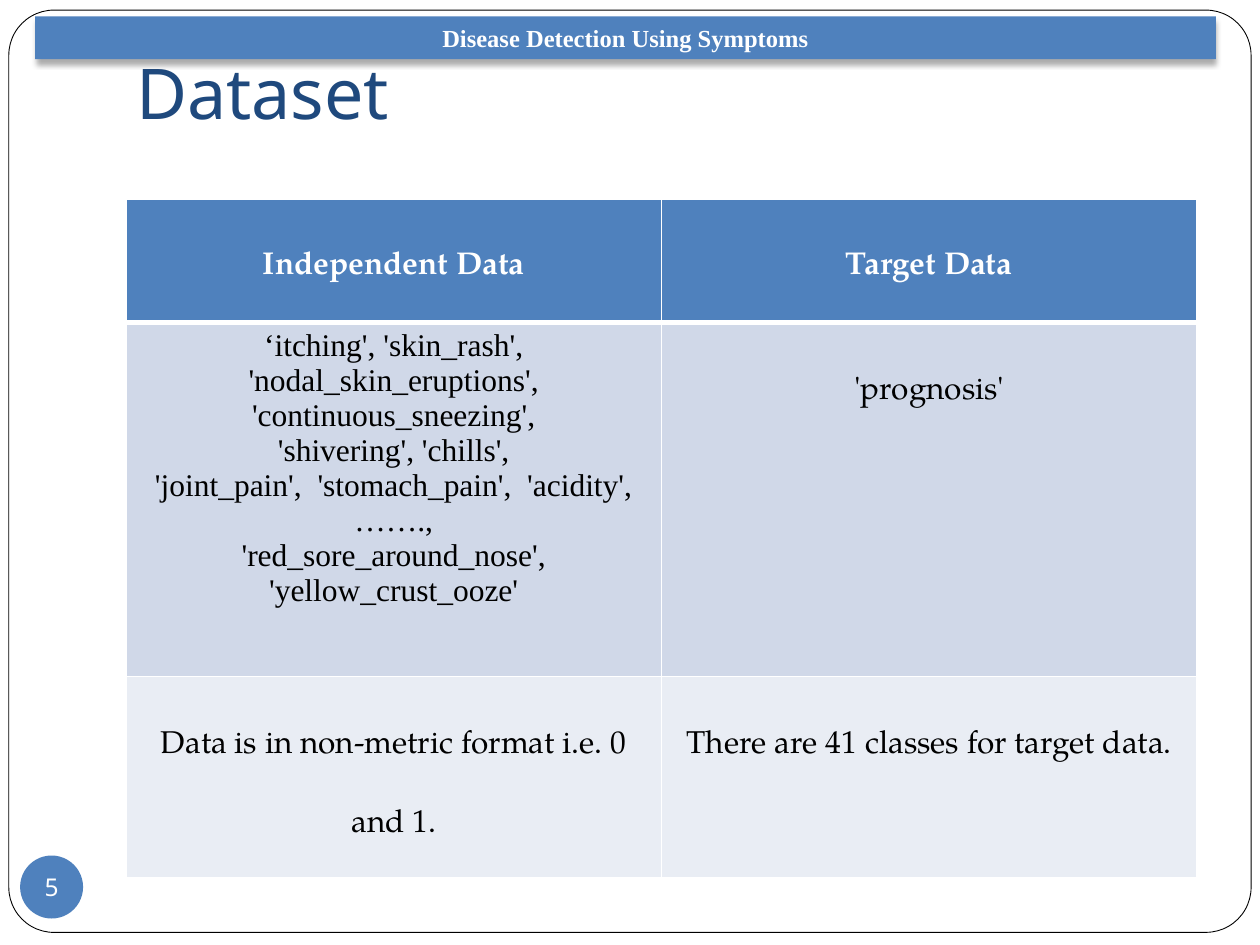
from lxml import etree
from pptx import Presentation
from pptx.dml.color import RGBColor
from pptx.enum.shapes import MSO_SHAPE as SHAPE
from pptx.enum.text import MSO_ANCHOR as ANCHOR, PP_ALIGN as ALIGN
from pptx.oxml import parse_xml
from pptx.oxml.ns import nsdecls, qn
from pptx.util import Inches, Pt

SANS, SERIF, BOOK = "Noto Sans", "Times New Roman", "TeX Gyre Pagella"
BLUE, NAVY, WHITE, BLACK = "4F81BD", "1F497D", "FFFFFF", "000000"
ROW_FILLS = [BLUE, "D0D8E8", "E9EDF4"]
ROW_HEIGHTS = [0.98, 2.81, 1.6]
SYMPTOMS = [
    "‘itching',\u00a0'skin_rash', 'nodal_skin_eruptions',",
    "'continuous_sneezing', 'shivering',\u00a0'chills',",
    "'joint_pain',\u00a0 'stomach_pain', \u00a0'acidity', …….,",
    "'red_sore_around_nose', 'yellow_crust_ooze'",
]
ROWS = [
    [["Independent Data"], ["Target Data"]],
    [SYMPTOMS, ["'prognosis'"]],
    [["Data is in non-metric format i.e. 0 and 1."],
     ["There are 41 classes for target data."]],
]


def rgb(value):
    """Turn a hex string into a colour."""
    return RGBColor.from_string(value)


def write(tf, lines, size, font, color, bold=False, align=ALIGN.CENTER, spacing=None):
    """Fill a text frame with equally formatted paragraphs."""
    tf.text = "\n".join(lines)
    for p in tf.paragraphs:
        p.alignment = align
        if spacing:
            p.line_spacing = spacing
        for r in p.runs:
            r.font.size, r.font.name, r.font.bold = Pt(size), font, bold
            r.font.color.rgb = rgb(color)


def set_margins(tf, left, top, right, bottom):
    """Set the four insets of a text frame in inches."""
    tf.margin_left, tf.margin_top = Inches(left), Inches(top)
    tf.margin_right, tf.margin_bottom = Inches(right), Inches(bottom)


def add_box(s, kind, left, top, width, height, fill):
    """Add a filled shape without outline or shadow."""
    sp = s.shapes.add_shape(kind, Inches(left), Inches(top), Inches(width), Inches(height))
    sp.shadow.inherit = False
    sp.fill.solid()
    sp.fill.fore_color.rgb = rgb(fill)
    sp.line.fill.background()
    return sp


def add_frame(s):
    """Add the rounded page frame behind everything else."""
    sp = add_box(s, SHAPE.ROUNDED_RECTANGLE, 0.07, 0.08, 9.86, 7.32, WHITE)
    sp.adjustments[0] = 0.049
    sp.line.color.rgb = rgb(BLACK)
    sp.line.width = Pt(0.5)
    s.shapes._spTree.insert(2, sp._element)


def set_title(s, text):
    """Place and format the title placeholder."""
    sp = s.shapes.title
    sp.left, sp.top, sp.width, sp.height = map(Inches, (0.98, 0.29, 8.5, 0.87))
    tf = sp.text_frame
    tf.vertical_anchor = ANCHOR.BOTTOM
    set_margins(tf, 0.1, 0.05, 0.1, 0.1)
    write(tf, [text], 40, SANS, NAVY, align=ALIGN.LEFT)


def add_page_number(s, number):
    """Add the round page number badge."""
    tf = add_box(s, SHAPE.OVAL, 0.16, 6.79, 0.5, 0.5, BLUE).text_frame
    tf.word_wrap = False
    tf.vertical_anchor = ANCHOR.MIDDLE
    set_margins(tf, 0, 0, 0, 0)
    write(tf, [number], 14, SANS, WHITE)


def add_banner(s, text):
    """Add the banner with its soft drop shadow."""
    sp = add_box(s, SHAPE.RECTANGLE, 0.28, 0.13, 9.37, 0.34, BLUE)
    write(sp.text_frame, [text], 14, SERIF, WHITE, bold=True)
    effects = sp._element.spPr.find(qn("a:effectLst"))
    effects.append(parse_xml(
        f'<a:outerShdw {nsdecls("a")} blurRad="{Pt(3.5)}" dist="{Pt(2.2)}" dir="5400000" '
        f'rotWithShape="0"><a:srgbClr val="{BLACK}"><a:alpha val="32000"/></a:srgbClr>'
        '</a:outerShdw>'))


def set_borders(cell, bottom, top):
    """Draw white cell borders, with given bottom and top widths."""
    tc_pr = cell._tc.get_or_add_tcPr()
    widths = {"lnL": 1, "lnR": 1, "lnT": top, "lnB": bottom}
    for i, (tag, width) in enumerate(widths.items()):
        ln = etree.Element(qn(f"a:{tag}"), w=str(Pt(width)))
        fill = etree.SubElement(ln, qn("a:solidFill"))
        etree.SubElement(fill, qn("a:srgbClr"), val=WHITE)
        tc_pr.insert(i, ln)


def add_data_table(s):
    """Add the table of independent and target data."""
    table = s.shapes.add_table(3, 2, Inches(1), Inches(1.58), Inches(8.5),
                               Inches(sum(ROW_HEIGHTS))).table
    for i, (row, height, color) in enumerate(zip(ROWS, ROW_HEIGHTS, ROW_FILLS)):
        table.rows[i].height = Inches(height)
        for j, lines in enumerate(row):
            cell = table.cell(i, j)
            cell.fill.solid()
            cell.fill.fore_color.rgb = rgb(color)
            set_borders(cell, bottom=3 if i == 0 else 1, top=3 if i == 1 else 1)
            is_list = len(lines) > 1
            write(cell.text_frame, lines, 18, SERIF if is_list else BOOK,
                  WHITE if i == 0 else BLACK, bold=i == 0,
                  spacing=None if is_list else 2.5)


def main():
    """Build and save the slide."""
    prs = Presentation()
    prs.slide_width, prs.slide_height = Inches(10), Inches(7.5)
    s = prs.slides.add_slide(prs.slide_layouts[5])
    add_frame(s)
    set_title(s, "Dataset")
    add_page_number(s, "5")
    add_banner(s, "Disease Detection Using Symptoms")
    add_data_table(s)
    prs.save("out.pptx")


main()
